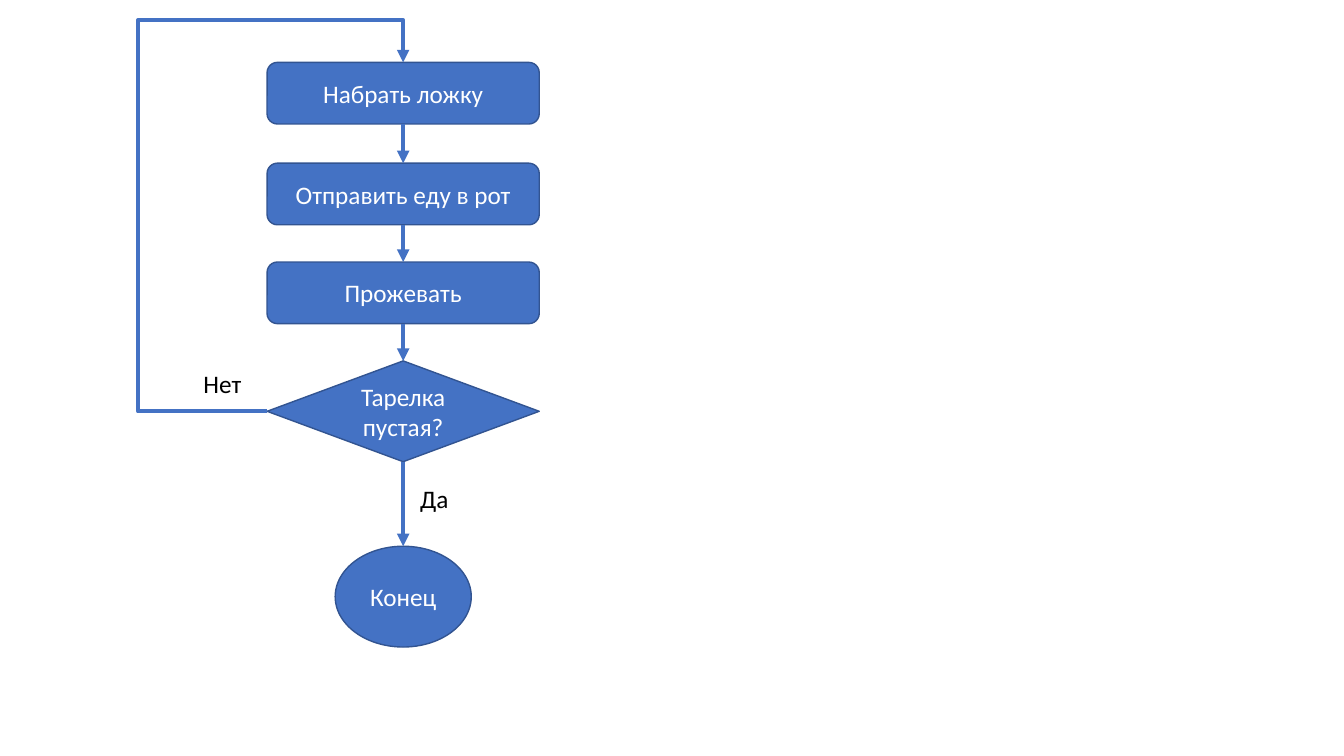
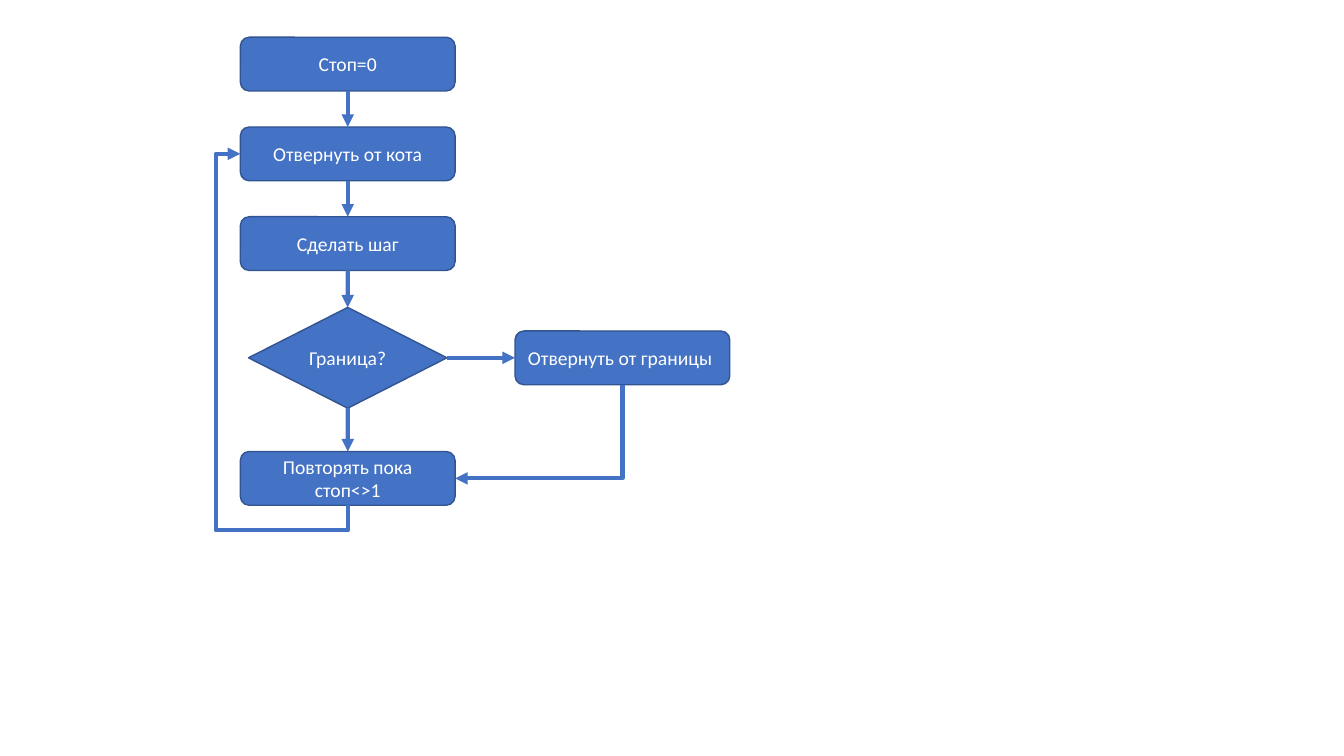
from dataclasses import dataclass
from itertools import pairwise

from lxml.etree import SubElement
from pptx import Presentation
from pptx.dml.color import RGBColor
from pptx.enum.shapes import MSO_CONNECTOR as Link, MSO_SHAPE as Preset
from pptx.enum.text import MSO_ANCHOR as Anchor, MSO_AUTO_SIZE as Fit, PP_ALIGN as Align
from pptx.oxml.ns import qn
from pptx.util import Pt


@dataclass(frozen=True)
class Theme:
    fill: RGBColor = RGBColor.from_string("4472C4")
    outline: RGBColor = RGBColor.from_string("325491")
    on_fill: RGBColor = RGBColor.from_string("FFFFFF")
    ink: RGBColor = RGBColor.from_string("000000")
    font: str = "Calibri"
    large: float = 18
    small: float = 14
    outline_width: float = 1
    arrow_width: float = 3


@dataclass(frozen=True)
class Box:
    left: float
    top: float
    width: float
    height: float


THEME = Theme()
TOP, LEFT, BOTTOM, RIGHT = range(4)  # connection sites of a block


def write(frame, text, size, colour):
    span = frame.paragraphs[0].add_run()
    span.text = text
    span.font.name = THEME.font
    span.font.size = Pt(size)
    span.font.color.rgb = colour


def add_block(page, preset, text, box, size):
    block = page.shapes.add_shape(
        preset, Pt(box.left), Pt(box.top), Pt(box.width), Pt(box.height))
    block.shadow.inherit = False
    block.fill.solid()
    block.fill.fore_color.rgb = THEME.fill
    block.line.color.rgb = THEME.outline
    block.line.width = Pt(THEME.outline_width)
    frame = block.text_frame
    frame.word_wrap = True
    frame.vertical_anchor = Anchor.MIDDLE
    frame.paragraphs[0].alignment = Align.CENTER
    write(frame, text, size, THEME.on_fill)
    return block


def add_column(page, axis, top, steps, size):
    """Blocks centred on one axis, each joined to the next by an arrow."""
    blocks = [
        add_block(page, preset, text,
                  Box(axis - width / 2, top + offset, width, height), size)
        for preset, text, offset, width, height in steps
    ]
    for upper, lower in pairwise(blocks):
        join(page, upper, BOTTOM, lower, TOP)
    return blocks


def add_label(page, text, box):
    label = page.shapes.add_textbox(
        Pt(box.left), Pt(box.top), Pt(box.width), Pt(box.height))
    label.text_frame.word_wrap = False
    label.text_frame.auto_size = Fit.SHAPE_TO_FIT_TEXT
    write(label.text_frame, text, THEME.large, THEME.ink)


def style_arrow(line):
    line.color.rgb = THEME.fill
    line.width = Pt(THEME.arrow_width)
    SubElement(line._get_or_add_ln(), qn("a:tailEnd"), type="triangle")


def join(page, source, source_site, target, target_site):
    arrow = page.shapes.add_connector(Link.STRAIGHT, 0, 0, 0, 0)
    arrow.begin_connect(source, source_site)
    arrow.end_connect(target, target_site)
    style_arrow(arrow.line)
    SubElement(arrow._element.spPr, qn("a:effectLst"))


def add_route(page, *points):
    """Arrow with square corners through the given points."""
    start, *rest = [(Pt(x), Pt(y)) for x, y in points]
    builder = page.shapes.build_freeform(*start)
    builder.add_line_segments(rest, close=False)
    route = builder.convert_to_shape()
    route.shadow.inherit = False
    route.fill.background()
    style_arrow(route.line)


def edge(block, site):
    """Middle of one side of a block, in points."""
    x, y = block.left.pt, block.top.pt
    width, height = block.width.pt, block.height.pt
    return {
        TOP: (x + width / 2, y),
        LEFT: (x, y + height / 2),
        BOTTOM: (x + width / 2, y + height),
        RIGHT: (x + width, y + height / 2),
    }[site]


def eating_flow(page, box):
    axis = box.left + box.width - 97.2
    wide, tall, high = 194.4, 44, 72
    steps = [
        (Preset.ROUNDED_RECTANGLE, "Набрать ложку", 30.2, wide, tall),
        (Preset.ROUNDED_RECTANGLE, "Отправить еду в рот", 102.2, wide, tall),
        (Preset.ROUNDED_RECTANGLE, "Прожевать", 172.8, wide, tall),
        (Preset.DIAMOND, "Тарелка пустая?", 243.4, wide, high),
        (Preset.OVAL, "Конец", box.height - high, wide / 2, high),
    ]
    blocks = add_column(page, axis, box.top, steps, THEME.large)

    # Loop back to the first step
    start, end = edge(blocks[3], LEFT), edge(blocks[0], TOP)
    add_route(page, start, (box.left, start[1]), (box.left, box.top),
              (end[0], box.top), end)

    # Answers
    add_label(page, "Да", Box(axis + 5, box.top + 327.6, 35.3, 29))
    add_label(page, "Нет", Box(box.left + 39.6, box.top + 244.8, 41.8, 29))


def cat_flow(page, box):
    axis = box.left + 94.3
    wide, tall, step = 153.4, 38.4, 64.1
    rounded = Preset.ROUNDED_RECTANGLE
    steps = [
        *((rounded, text, step * row, wide, tall) for row, text in enumerate(
            ("Стоп=0", "Отвернуть от кота", "Сделать шаг"))),
        (Preset.DIAMOND, "Граница?", 193, 141.8, 72),
        (rounded, "Повторять пока стоп<>1", 295.9, wide, tall),
    ]
    blocks = add_column(page, axis, box.top, steps, THEME.small)
    first, border, repeat = blocks[1], blocks[3], blocks[4]

    # Side branch
    middle = edge(border, RIGHT)[1]
    branch = add_block(
        page, rounded, "Отвернуть от границы ",
        Box(box.left + box.width - wide, middle - tall / 2, wide, tall), THEME.small)
    join(page, border, RIGHT, branch, LEFT)
    start, end = edge(branch, BOTTOM), edge(repeat, RIGHT)
    add_route(page, start, (start[0], end[1]), end)

    # Loop back to the second step
    start, end = edge(repeat, BOTTOM), edge(first, LEFT)
    floor = box.top + box.height
    add_route(page, start, (start[0], floor), (box.left, floor),
              (box.left, end[1]), end)


def main():
    deck = Presentation()
    deck.slide_width, deck.slide_height = Pt(960), Pt(540)
    flows = [
        (eating_flow, Box(98.6, 14.4, 286.6, 447.8)),
        (cat_flow, Box(154.1, 26.6, 367.2, 352.2)),
    ]
    for draw, box in flows:
        draw(deck.slides.add_slide(deck.slide_layouts[6]), box)
    deck.save("out.pptx")


if __name__ == "__main__":
    main()
